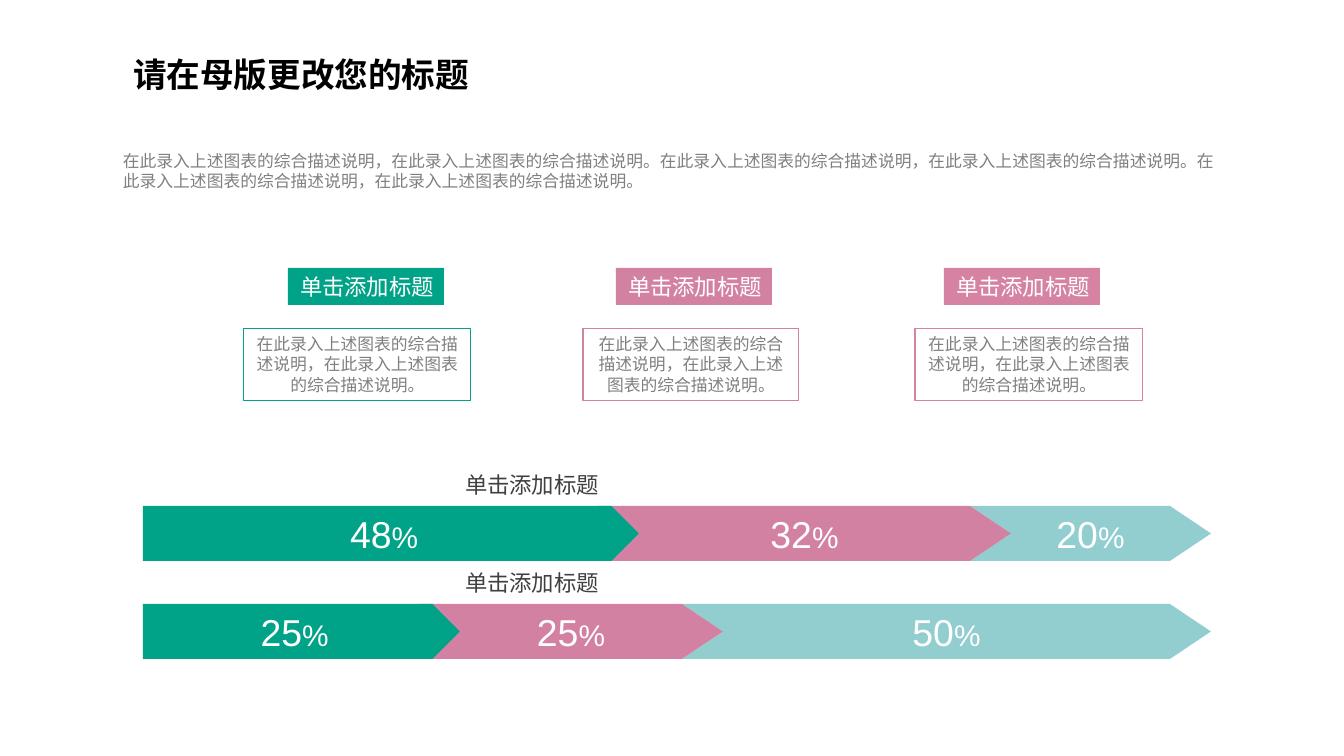
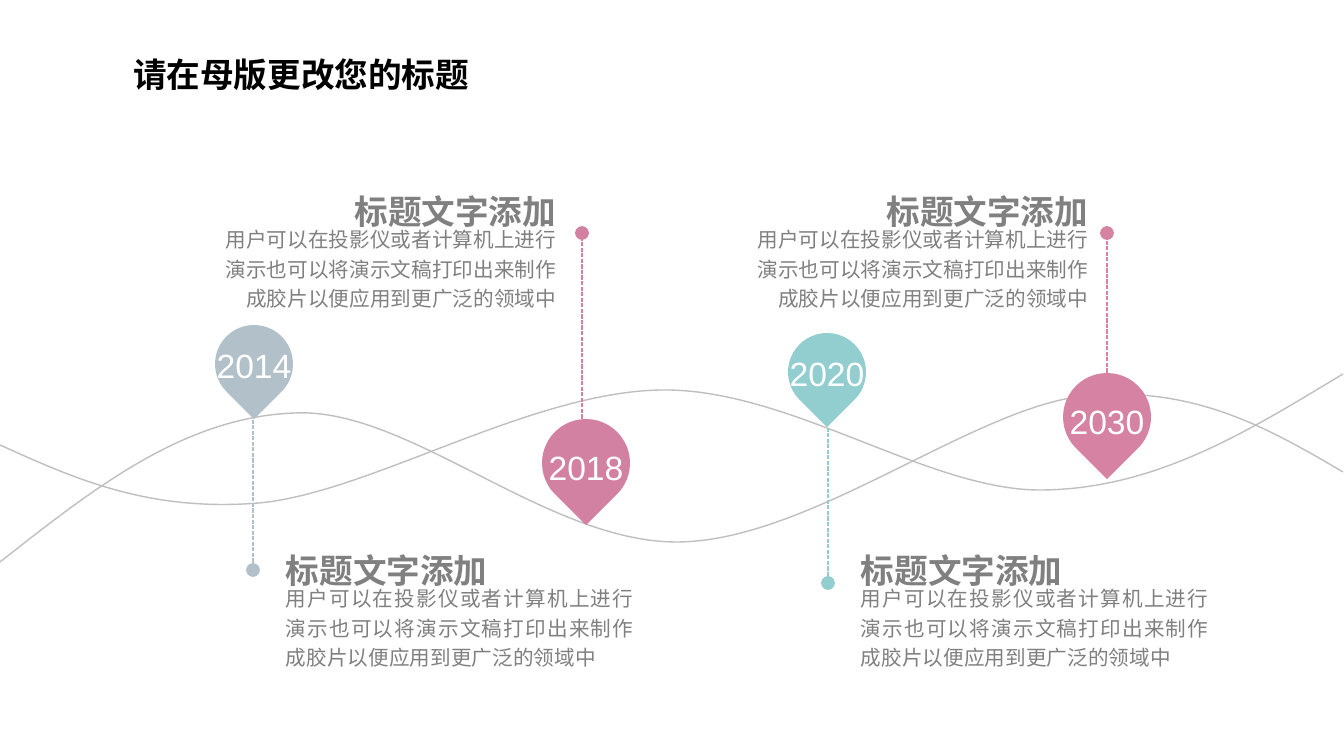
import dataclasses

import lxml.etree
import pptx
import pptx.dml.color
import pptx.enum.dml
import pptx.enum.shapes
import pptx.enum.text
import pptx.oxml.ns
import pptx.util

SCALE = 914400 / 100.8
ALIGN = pptx.enum.text.PP_ALIGN
ANCHOR = pptx.enum.text.MSO_ANCHOR
SHAPE = pptx.enum.shapes.MSO_SHAPE


@dataclasses.dataclass(frozen=True)
class Theme:
    green: str = "00A388"
    pink: str = "D381A2"
    rose: str = "D582A3"
    aqua: str = "92CDCF"
    steel: str = "B1C0C9"
    wave: str = "BFBFBF"
    black: str = "000000"
    dark: str = "404040"
    grey: str = "808080"
    white: str = "FFFFFF"
    latin: str = "Arial"
    chinese: str = "Noto Sans CJK SC"
    heading_size: float = 24
    label_size: float = 16
    note_size: float = 12
    body_size: float = 14.7
    number_size: float = 26.7
    percent_size: float = 21.3


THEME = Theme()
HEADLINE = "请在母版更改您的标题"
LABEL = "单击添加标题"
NOTE = "在此录入上述图表的综合描述说明，在此录入上述图表的综合描述说明。"
CAPTION = "标题文字添加"
BODY = "用户可以在投影仪或者计算机上进行演示也可以将演示文稿打印出来制作成胶片以便应用到更广泛的领域中"


def px(length):
    return pptx.util.Emu(round(length * SCALE))


def rgb(color):
    return pptx.dml.color.RGBColor.from_string(color)


def element(parent, tag, **attributes):
    return lxml.etree.SubElement(parent, pptx.oxml.ns.qn(tag), **attributes)


def format_paragraph(para, size, color, align, bold=False, latin=THEME.latin, spacing=None):
    para.alignment = align
    para.line_spacing = spacing
    para.font.size = pptx.util.Pt(size)
    para.font.bold = bold
    para.font.color.rgb = rgb(color)
    para.font.name = latin
    defaults = para._p.pPr.find(pptx.oxml.ns.qn("a:defRPr"))
    element(defaults, "a:ea", typeface=THEME.chinese)


def write(box, text, size, color, align=ALIGN.LEFT, wrap=True, anchor=ANCHOR.TOP, **style):
    frame = box.text_frame
    frame.word_wrap = wrap
    frame.vertical_anchor = anchor
    para = frame.paragraphs[0]
    para.add_run().text = text
    format_paragraph(para, size, color, align, **style)
    return para


def add_text(page, left, top, width, height, text, size, color, **style):
    box = page.shapes.add_textbox(px(left), px(top), px(width), px(height))
    write(box, text, size, color, **style)


def add_block(page, kind, left, top, width, height, fill=None, outline=None):
    block = page.shapes.add_shape(kind, px(left), px(top), px(width), px(height))
    block.shadow.inherit = False
    if fill:
        block.fill.solid()
        block.fill.fore_color.rgb = rgb(fill)
    else:
        block.fill.background()
    if outline:
        block.line.color.rgb = rgb(outline)
        block.line.width = pptx.util.Pt(0.75)
    else:
        block.line.fill.background()
    return block


def add_page(deck):
    page = deck.slides.add_slide(deck.slide_layouts[5])
    title = page.shapes.title
    title.left, title.top, title.width, title.height = px(123), px(49), px(575), px(50)
    title.text_frame.auto_size = pptx.enum.text.MSO_AUTO_SIZE.NONE
    write(title, HEADLINE, THEME.heading_size, THEME.black, bold=True, latin=THEME.chinese)
    return page


def add_card(page, left, width, tag_left, color):
    tag = add_block(page, SHAPE.RECTANGLE, tag_left, 268, 156, 37, fill=color)
    write(tag, LABEL, THEME.label_size, THEME.white, align=ALIGN.RIGHT, wrap=False)
    note = add_block(page, SHAPE.RECTANGLE, left, 329, width, 72, outline=color)
    write(note, NOTE, THEME.note_size, THEME.grey, align=ALIGN.CENTER)


def add_arrow_bar(page, left, top, segments):
    height, notch = 55, 41
    bar_top = top + 40
    starts = [left] + [tip - notch for tip, _ in segments[:-1]]
    colors = (THEME.green, THEME.pink, THEME.aqua)
    for start, (tip, number), color in reversed(list(zip(starts, segments, colors))):
        first = start == left
        kind = SHAPE.PENTAGON if first else SHAPE.CHEVRON
        arrow = add_block(page, kind, start, bar_top, tip - start, height, fill=color)
        arrow.adjustments[0] = 0.5 if first else notch / height
        para = write(arrow, number, THEME.number_size, THEME.white, align=ALIGN.CENTER,
                     wrap=False, anchor=ANCHOR.MIDDLE)
        span = para.add_run()
        span.text = "%"
        span.font.size = pptx.util.Pt(THEME.percent_size)
    add_text(page, left + 310, top, 156, 37, LABEL, THEME.label_size, THEME.dark,
             align=ALIGN.RIGHT, wrap=False)


def add_wave(page, points):
    start, *rest = [(px(x), px(y)) for x, y in points]
    builder = page.shapes.build_freeform(*start)
    builder.add_line_segments(rest, close=False)
    wave = builder.convert_to_shape()
    wave.shadow.inherit = False
    wave.fill.background()
    wave.line.color.rgb = rgb(THEME.wave)
    wave.line.width = pptx.util.Pt(1)
    outline = next(wave._element.iter(pptx.oxml.ns.qn("a:path")))
    legs = outline.findall(pptx.oxml.ns.qn("a:lnTo"))
    for index in range(0, len(legs), 3):
        curve = element(outline, "a:cubicBezTo")
        for leg in legs[index:index + 3]:
            curve.append(leg[0])
            outline.remove(leg)


def add_milestone(page, left, top, size, label_drop, stem_x, dot_y, year, color):
    stem = page.shapes.add_connector(pptx.enum.shapes.MSO_CONNECTOR.STRAIGHT,
                                     px(stem_x), px(top + size // 2), px(stem_x), px(dot_y))
    stem.line.color.rgb = rgb(color)
    stem.line.width = pptx.util.Pt(1)
    stem.line.dash_style = pptx.enum.dml.MSO_LINE.SQUARE_DOT
    element(stem.line._get_or_add_ln(), "a:tailEnd", type="oval", w="lg", len="lg")
    element(stem._element.spPr, "a:effectLst")
    pin = add_block(page, SHAPE.TEAR, left, top, size, size, fill=color)
    pin.rotation = 135
    label_width = 96
    add_text(page, left + (size - label_width) // 2, top + label_drop, label_width, 50, year,
             THEME.heading_size, THEME.white, align=ALIGN.CENTER, wrap=False)


def add_caption(page, left, top, align):
    width, heading_width = 367, 247
    heading_left = left + width - heading_width if align == ALIGN.RIGHT else left
    add_text(page, left, top + 39, width, 100, BODY, THEME.body_size, THEME.grey,
             align=align, spacing=1.2)
    add_text(page, heading_left, top, heading_width, 54, CAPTION, THEME.heading_size,
             THEME.grey, align=align, bold=True, spacing=1.2)


def build_share_page(deck):
    page = add_page(deck)
    summary = NOTE * 3
    add_text(page, 113, 146, 1118, 92, summary, THEME.note_size, THEME.grey)
    cards = ((244, 227, THEME.green), (583, 216, THEME.pink), (915, 228, THEME.rose))
    for index, (left, width, color) in enumerate(cards):
        add_card(page, left, width, 288 + 328 * index, color)
    add_arrow_bar(page, 143, 466, ((639, "48"), (1011, "32"), (1211, "20")))
    add_arrow_bar(page, 143, 564, ((460, "25"), (723, "25"), (1211, "50")))


def build_timeline_page(deck):
    page = add_page(deck)
    add_wave(page, ((0, 562), (92, 490), (184, 416), (297, 413), (411, 409), (550, 545),
                    (681, 542), (812, 539), (973, 408), (1084, 396), (1193, 385),
                    (1268, 428), (1343, 472)))
    add_wave(page, ((1343, 374), (1250, 430), (1158, 488), (1045, 490), (931, 493),
                    (791, 388), (661, 390), (530, 392), (369, 493), (259, 503),
                    (149, 512), (75, 479), (0, 445)))
    add_milestone(page, 215, 325, 78, 15, 253, 570, "2014", THEME.steel)
    add_milestone(page, 542, 419, 88, 23, 582, 233, "2018", THEME.pink)
    add_milestone(page, 788, 333, 78, 15, 828, 583, "2020", THEME.aqua)
    add_milestone(page, 1063, 373, 88, 23, 1107, 233, "2030", THEME.rose)
    for left, top, align in ((276, 537, ALIGN.JUSTIFY), (851, 537, ALIGN.JUSTIFY),
                             (731, 178, ALIGN.RIGHT), (199, 178, ALIGN.RIGHT)):
        add_caption(page, left, top, align)


def main():
    deck = pptx.Presentation()
    deck.slide_width, deck.slide_height = px(1344), px(756)
    build_share_page(deck)
    build_timeline_page(deck)
    deck.save("out.pptx")


if __name__ == "__main__":
    main()
